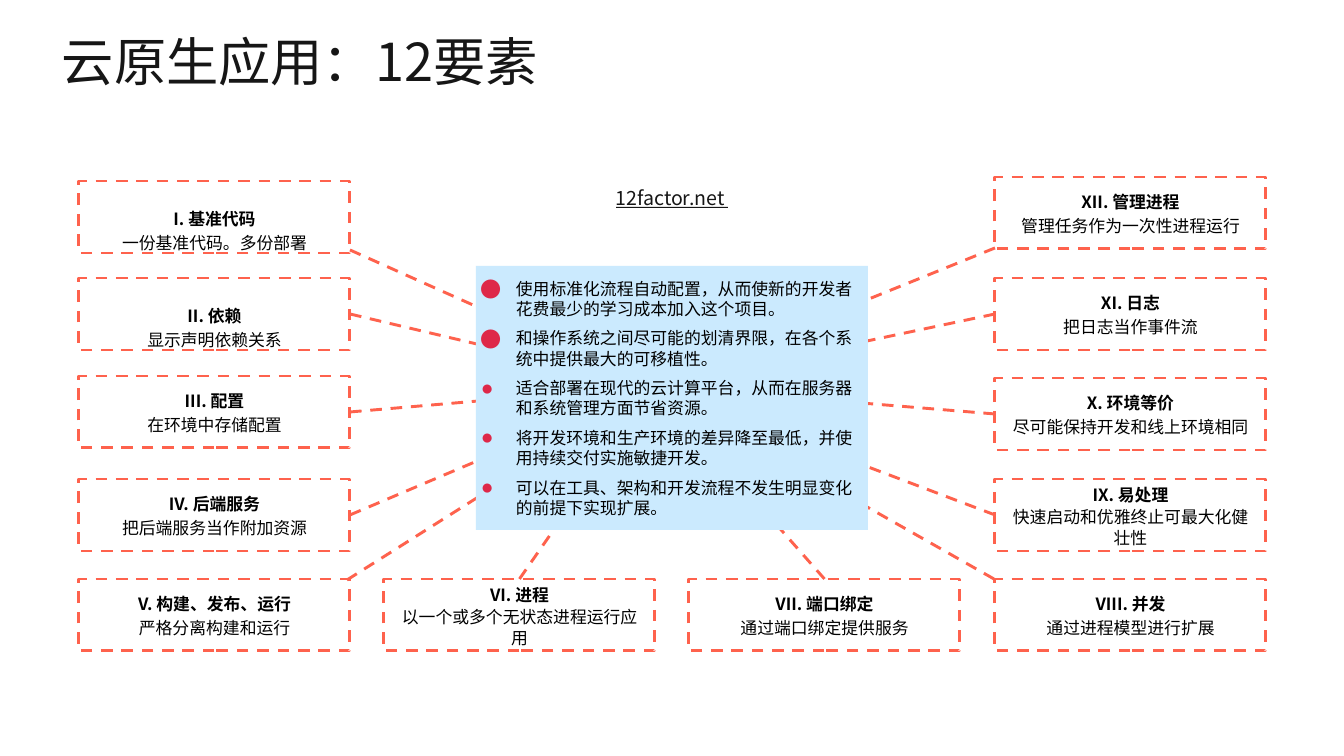
"""Build a slide that sets out the twelve factors of cloud native applications."""
import lxml.etree
import pptx
import pptx.dml.color
import pptx.enum.dml
import pptx.enum.shapes
import pptx.enum.text
import pptx.oxml.ns
import pptx.util

PX = 914400 / 134.4
FONT = "Noto Sans CJK SC"
COLORS = {"ink": "161616", "text": "000000", "dash": "FE624D", "panel": "CBEAFE", "bullet": "DE2849"}
RECTANGLE = pptx.enum.shapes.MSO_SHAPE.RECTANGLE
ANCHOR = pptx.enum.text.MSO_ANCHOR
ALIGN = pptx.enum.text.PP_ALIGN
qn = pptx.oxml.ns.qn


def rgb(name):
    return pptx.dml.color.RGBColor.from_string(COLORS[name])


def format_paragraph(paragraph, size, color, spacing, bold=False, align=ALIGN.LEFT):
    paragraph.line_spacing = spacing
    paragraph.alignment = align
    for run in paragraph.runs:
        run.font.size = pptx.util.Pt(size)
        run.font.bold = bold
        run.font.name = FONT
        run.font.color.rgb = rgb(color)
        lxml.etree.SubElement(run.font._element, qn("a:ea"), typeface=FONT)


LEFT, INNER_LEFT, INNER_RIGHT, RIGHT = 79, 384, 689, 995
BOX_WIDTH, BOX_HEIGHT = 271, 72
HUB_X, HUB_Y = 654, 386
TOP_SIDE, LEFT_SIDE, RIGHT_SIDE = 0, 1, 3

factors = [
    ("I. 基准代码", "一份基准代码。多份部署", LEFT, 181, (350, 250)),
    ("II. 依赖", "显示声明依赖关系", LEFT, 278, RIGHT_SIDE),
    ("III. 配置", "在环境中存储配置", LEFT, 376, RIGHT_SIDE),
    ("IV. 后端服务", "把后端服务当作附加资源", LEFT, 479, RIGHT_SIDE),
    ("V. 构建、发布、运行", "严格分离构建和运行", LEFT, 579, (347, 580)),
    ("VI. 进程", "以一个或多个无状态进程运行应用", INNER_LEFT, 579, TOP_SIDE),
    ("VII. 端口绑定", "通过端口绑定提供服务", INNER_RIGHT, 579, TOP_SIDE),
    ("VIII. 并发", "通过进程模型进行扩展", RIGHT, 579, (994, 579)),
    ("IX. 易处理", "快速启动和优雅终止可最大化健壮性", RIGHT, 479, LEFT_SIDE),
    ("X. 环境等价", "尽可能保持开发和线上环境相同", RIGHT, 378, LEFT_SIDE),
    ("XI. 日志", "把日志当作事件流", RIGHT, 278, LEFT_SIDE),
    ("XII. 管理进程", "管理任务作为一次性进程运行", RIGHT, 177, (995, 248)),
]
goals = [
    ("使用标准化流程自动配置，从而使新的开发者花费最少的学习成本加入这个项目。", FONT),
    ("和操作系统之间尽可能的划清界限，在各个系统中提供最大的可移植性。", FONT),
    ("适合部署在现代的云计算平台，从而在服务器和系统管理方面节省资源。", "Arial"),
    ("将开发环境和生产环境的差异降至最低，并使用持续交付实施敏捷开发。", "Arial"),
    ("可以在工具、架构和开发流程不发生明显变化的前提下实现扩展。", "Arial"),
]

presentation = pptx.Presentation()
presentation.slide_width = round(1344 * PX)
presentation.slide_height = round(756 * PX)
slide = presentation.slides.add_slide(presentation.slide_layouts[6])

for text, left, top, width, height, size in [
    ("云原生应用：12要素", 62, 23, 984, 76, 28),
    ("12factor.net", 616, 184, 140, 28, 10.5),
]:
    box = slide.shapes.add_textbox(*(round(n * PX) for n in (left, top, width, height)))
    frame = box.text_frame
    frame.word_wrap = True
    frame.margin_left = frame.margin_right = frame.margin_top = frame.margin_bottom = 0
    frame.text = text
    format_paragraph(frame.paragraphs[0], size, "ink", 1.1)

for heading, detail, left, top, start in factors:
    box = slide.shapes.add_shape(RECTANGLE, *(round(n * PX) for n in (left, top, BOX_WIDTH, BOX_HEIGHT)))
    box.shadow.inherit = False
    box.fill.background()
    frame = box.text_frame
    frame.word_wrap = True
    frame.margin_left = frame.margin_right = round(14 * PX)
    frame.margin_top = frame.margin_bottom = 0
    frame.vertical_anchor = ANCHOR.BOTTOM if heading in ("I. 基准代码", "II. 依赖") else ANCHOR.MIDDLE
    frame.text = heading
    format_paragraph(frame.paragraphs[0], 9, "text", 1.1, True, ALIGN.CENTER)
    paragraph = frame.add_paragraph()
    paragraph.text = detail
    paragraph.space_before = pptx.util.Pt(1.2)
    format_paragraph(paragraph, 9, "text", 1.0 if len(detail) > 14 else 1.1, False, ALIGN.CENTER)

    begin = (left, top) if isinstance(start, int) else start
    connector = slide.shapes.add_connector(
        pptx.enum.shapes.MSO_CONNECTOR.STRAIGHT, *(round(n * PX) for n in (*begin, HUB_X, HUB_Y)))
    if isinstance(start, int):
        connector.begin_connect(box, start)
    lxml.etree.SubElement(connector._element.spPr, qn("a:effectLst"))
    for outlined in (box, connector):
        outlined.line.color.rgb = rgb("dash")
        outlined.line.width = pptx.util.Pt(1.56)
        outlined.line.dash_style = pptx.enum.dml.MSO_LINE.DASH

panel = slide.shapes.add_shape(RECTANGLE, *(round(n * PX) for n in (476, 266, 392, 264)))
underline = slide.shapes.add_shape(RECTANGLE, *(round(n * PX) for n in (616, 207, 112, 1)))
for shape, color in ((panel, "panel"), (underline, "ink")):
    shape.shadow.inherit = False
    shape.fill.solid()
    shape.fill.fore_color.rgb = rgb(color)
    shape.line.fill.background()

frame = panel.text_frame
frame.word_wrap = True
frame.margin_left = round(5 * PX)
frame.margin_right = round(11 * PX)
frame.margin_top = frame.margin_bottom = 0
frame.vertical_anchor = ANCHOR.MIDDLE
for index, (goal, bullet_font) in enumerate(goals):
    paragraph = frame.add_paragraph() if index else frame.paragraphs[0]
    paragraph.text = goal
    properties = paragraph._p.get_or_add_pPr()
    properties.set("marL", str(round(35 * PX)))
    properties.set("indent", str(round(-35 * PX)))
    bullet_color = lxml.etree.SubElement(properties, qn("a:buClr"))
    lxml.etree.SubElement(bullet_color, qn("a:srgbClr"), val=COLORS["bullet"])
    lxml.etree.SubElement(properties, qn("a:buSzPct"), val="125000")
    lxml.etree.SubElement(properties, qn("a:buFont"), typeface=bullet_font)
    lxml.etree.SubElement(properties, qn("a:buChar"), char="●")
    if index:
        paragraph.space_before = pptx.util.Pt(5)
    format_paragraph(paragraph, 9, "text", 1.0)

presentation.save("out.pptx")
